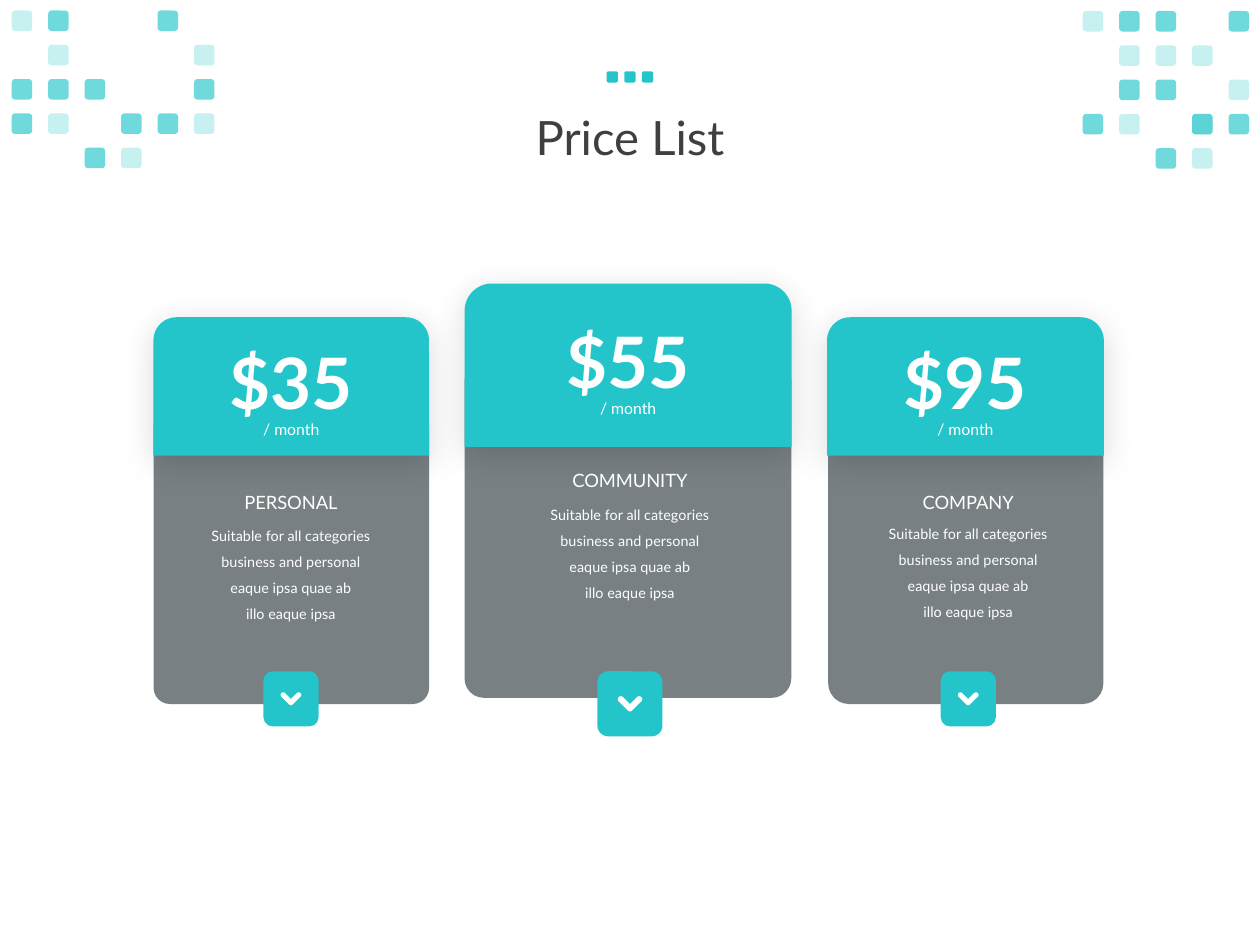
from dataclasses import dataclass
from math import cos, radians, sin

from lxml.etree import SubElement
from pptx import Presentation
from pptx.dml.color import RGBColor
from pptx.enum.shapes import MSO_SHAPE as Preset
from pptx.enum.text import MSO_ANCHOR as Anchor, MSO_AUTO_SIZE as AutoSize, PP_ALIGN as Align
from pptx.oxml.ns import qn
from pptx.util import Pt


@dataclass(frozen=True)
class Theme:
    font: str = "Lato"
    accent: str = "23C5CA"
    body: str = "313C41"
    title: str = "3F3F3F"
    light: str = "FFFFFF"
    shadow: str = "000000"
    title_size: float = 27
    price_size: float = 40.5
    name_size: float = 10.5
    period_size: float = 9
    description_size: float = 8.25
    strong: int = 65
    faint: int = 25


@dataclass(frozen=True)
class Card:
    price: str
    name: str
    body_box: tuple
    head_box: tuple
    text_center: float
    price_top: float
    description_gap: float
    corner: float
    button_size: float


THEME = Theme()
DESCRIPTION = [
    "Suitable for all categories business and personal",
    "eaque ipsa quae ab",
    "illo eaque ipsa",
]
CARDS = [
    Card("$35", "PERSONAL", (87.8, 234, 157.4, 168.3), (87.7, 181.3, 157.5, 79.1),
         166.3, 190.1, 15.8, 0.059, 31.5),
    Card("$55", "COMMUNITY", (265.5, 206.6, 186.7, 192.2), (265.5, 162, 186.9, 93.4),
         360, 177.8, 15.8, 0.059, 37.2),
    Card("$95", "COMPANY", (473.3, 234, 157.2, 168.3), (472.6, 181.3, 158.2, 79.1),
         553.3, 190.1, 14.4, 0.075, 31.5),
]
TINTS = {"D": [THEME.strong], "L": [THEME.faint], "B": [THEME.strong, THEME.faint], ".": []}
LEFT_PATTERN = ["LD..D.", ".L...L", "DDD..D", "DL.DDL", "..DL.."]
RIGHT_PATTERN = ["LDD.D", ".LLL.", ".DD.L", "DL.BD", "..DL."]


def fill_shape(shape, color, opacity=100):
    shape.fill.solid()
    shape.fill.fore_color.rgb = RGBColor.from_string(color)
    shape.line.fill.background()
    shape.shadow.inherit = False
    if opacity < 100:
        color_element = shape.element.spPr.find(".//" + qn("a:srgbClr"))
        SubElement(color_element, qn("a:alpha"), val=str(opacity * 1000))


def add_box(shapes, preset, box, color, opacity=100):
    shape = shapes.add_shape(preset, *map(Pt, box))
    fill_shape(shape, color, opacity)
    return shape


def add_soft_shadow(shape):
    effects = shape.element.spPr.find(qn("a:effectLst"))
    shadow = SubElement(effects, qn("a:outerShdw"), blurRad=str(Pt(19)), dist=str(Pt(4)),
                        dir="5400000", algn="t", rotWithShape="0")
    color = SubElement(shadow, qn("a:srgbClr"), val=THEME.shadow)
    SubElement(color, qn("a:alpha"), val="15000")


def add_text(shapes, lines, box, size, color=THEME.light, bold=False, spacing=None, insets=(5.4, 2.7)):
    frame = shapes.add_textbox(*map(Pt, box)).text_frame
    frame.word_wrap = True
    frame.auto_size = AutoSize.SHAPE_TO_FIT_TEXT
    frame.margin_left = frame.margin_right = Pt(insets[0])
    frame.margin_top = frame.margin_bottom = Pt(insets[1])
    frame.text = "\n".join(lines)
    for paragraph in frame.paragraphs:
        paragraph.alignment = Align.CENTER
        paragraph.line_spacing = spacing
        for run in paragraph.runs:
            run.font.name = THEME.font
            run.font.size = Pt(size)
            run.font.bold = bold
            run.font.color.rgb = RGBColor.from_string(color)
    return frame


def add_title(shapes):
    frame = add_text(shapes, ["Price List"], (49.7, 28.1, 620.6, 104.4), THEME.title_size,
                     THEME.title, spacing=0.9)
    frame.auto_size = AutoSize.NONE
    frame.vertical_anchor = Anchor.MIDDLE


def arc(center_x, center_y, radius, start, end):
    return [(center_x + radius * cos(radians(angle)), center_y + radius * sin(radians(angle)))
            for angle in range(start, end + 1, 15)]


def add_chevron(shapes, center_x, center_y, half_width):
    outline = (arc(-0.75, -0.375, 0.25, 135, 315) + [(0, 0.02)]
               + arc(0.75, -0.375, 0.25, 225, 405) + arc(0, 0.375, 0.25, 45, 135))
    points = [(Pt(center_x + x * half_width), Pt(center_y + y * half_width)) for x, y in outline]
    builder = shapes.build_freeform(*points[0], scale=1.0)
    builder.add_line_segments(points[1:], close=True)
    fill_shape(builder.convert_to_shape(), THEME.light)


def add_button(shapes, center, size):
    top = 383.6
    add_box(shapes, Preset.ROUNDED_RECTANGLE, (center - size / 2, top, size, size), THEME.accent)
    add_chevron(shapes, center, top + size / 2, size * 0.187)


def add_card(shapes, card):
    body = add_box(shapes, Preset.ROUNDED_RECTANGLE, card.body_box, THEME.body, THEME.strong)
    body.adjustments[0] = card.corner
    head = add_box(shapes, Preset.ROUND_2_SAME_RECTANGLE, card.head_box, THEME.accent)
    add_soft_shadow(head)

    head_center = card.head_box[0] + card.head_box[2] / 2
    name_top = card.price_top + 87.8
    add_text(shapes, [card.price], (head_center - 48, card.price_top, 96, 56.2),
             THEME.price_size, bold=True, insets=(7.2, 3.6))
    add_text(shapes, ["/ month"], (head_center - 29.9, card.price_top + 41.8, 59.8, 19.4),
             THEME.period_size, spacing=1.5)
    add_text(shapes, DESCRIPTION,
             (card.text_center - 56.9, name_top + card.description_gap, 113.8, 63.4),
             THEME.description_size, spacing=1.5)
    add_text(shapes, [card.name], (card.text_center - 51.8, name_top, 103.6, 18), THEME.name_size)
    add_button(shapes, card.text_center, card.button_size)


def add_pattern(shapes, rows, left, top):
    group = shapes.add_group_shape()
    for row, marks in enumerate(rows):
        for column, mark in enumerate(marks):
            for opacity in TINTS[mark]:
                box = (left + column * 20.83, top + row * 19.6, 11.7, 11.7)
                add_box(group.shapes, Preset.ROUNDED_RECTANGLE, box, THEME.accent, opacity)


def add_title_dots(shapes):
    group = shapes.add_group_shape()
    for index in range(3):
        box = (346.7 + index * 10.1, 40.8, 6.4, 6.4)
        add_box(group.shapes, Preset.ROUNDED_RECTANGLE, box, THEME.accent)


def main():
    presentation = Presentation()
    presentation.slide_width, presentation.slide_height = Pt(720), Pt(540)
    shapes = presentation.slides.add_slide(presentation.slide_layouts[6]).shapes
    add_title(shapes)
    for card in CARDS:
        add_card(shapes, card)
    add_pattern(shapes, LEFT_PATTERN, 6.7, 6)
    add_pattern(shapes, RIGHT_PATTERN, 618.7, 6.3)
    add_title_dots(shapes)
    presentation.save("out.pptx")


if __name__ == "__main__":
    main()
